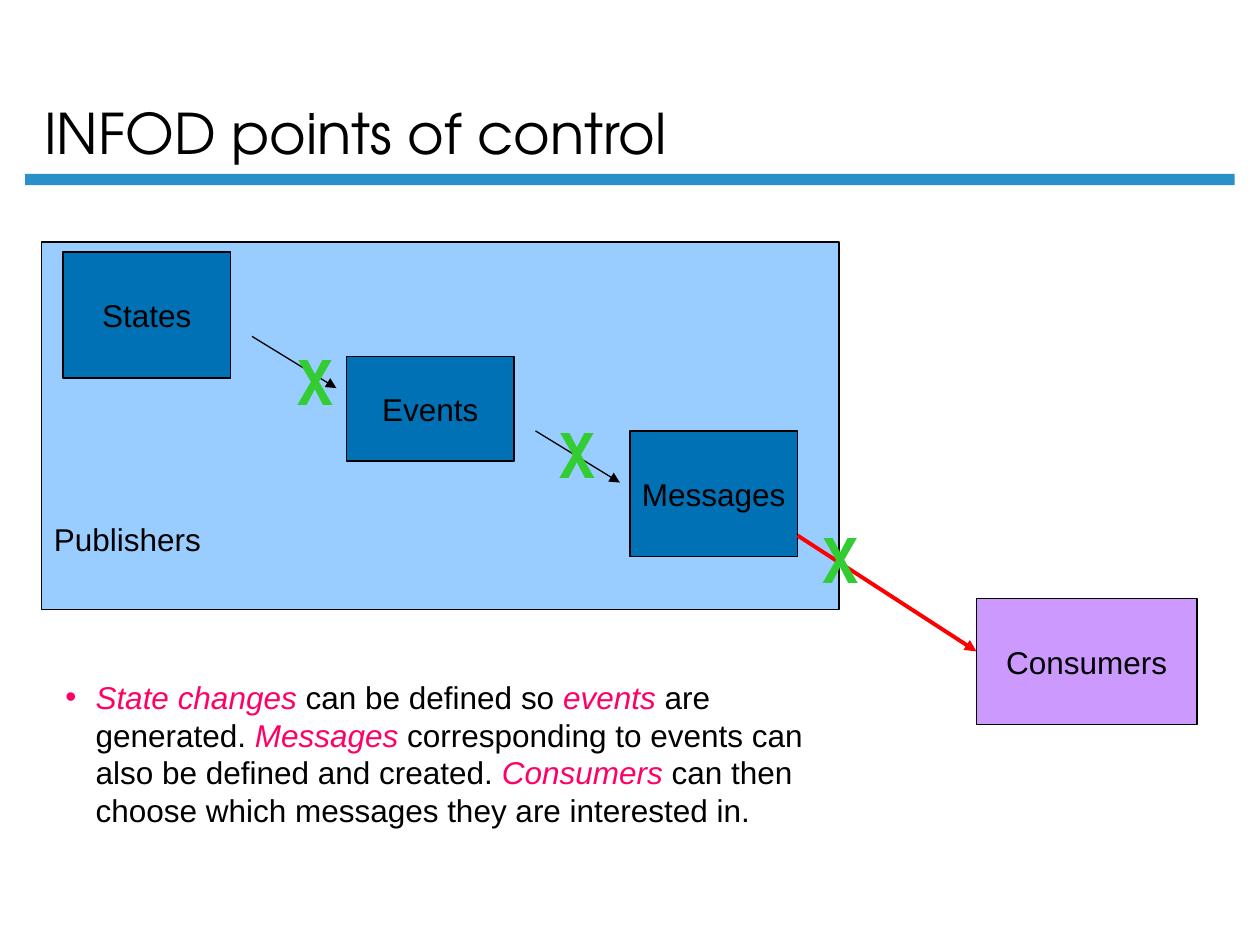
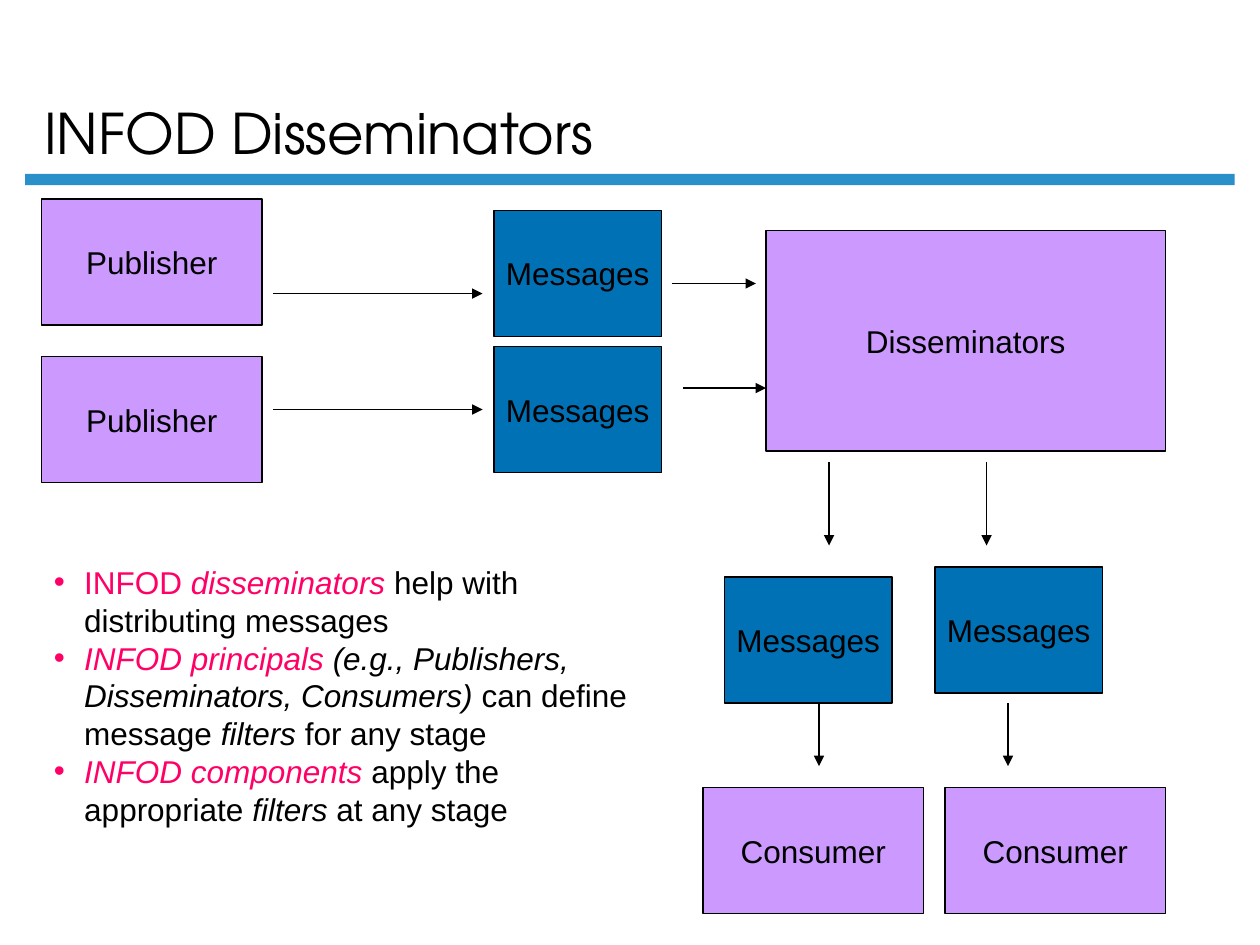
"""Build two slides on INFOD control points and disseminators."""
import pptx
import pptx.dml.color
import pptx.enum.shapes
import pptx.enum.text
import pptx.oxml
import pptx.oxml.ns
import pptx.util

Inches = pptx.util.Inches
Pt = pptx.util.Pt
ANCHOR = pptx.enum.text.MSO_ANCHOR
ALIGN = pptx.enum.text.PP_ALIGN
RECTANGLE = pptx.enum.shapes.MSO_SHAPE.RECTANGLE
STRAIGHT = pptx.enum.shapes.MSO_CONNECTOR.STRAIGHT

BLACK, BAND, PANEL = "000000", "2990CA", "99CCFF"
BLUE, PURPLE = "0071B5", "CC99FF"
PINK, GREEN, RED = "FF0066", "33CC33", "FF0000"


def rgb(code):
    """Turn a hex string into a colour."""
    return pptx.dml.color.RGBColor.from_string(code)


def add_xml(parent, tag, attributes="", children=""):
    """Append one drawing element to its parent."""
    namespace = pptx.oxml.ns.nsdecls("a")
    parent.append(pptx.oxml.parse_xml(f"<a:{tag} {namespace} {attributes}>{children}</a:{tag}>"))


slides = [
    {
        "title": "INFOD points of control",
        "boxes": [
            ("Publishers", PANEL, 0.33, 1.92, 6.33, 2.92),
            ("States", BLUE, 0.5, 2, 1.33, 1),
            ("Events", BLUE, 2.75, 2.83, 1.33, 0.83),
            ("Messages", BLUE, 5, 3.42, 1.33, 1),
            ("Consumers", PURPLE, 7.75, 4.75, 1.75, 1),
        ],
        "arrows": [
            (2, 2.67, 2.67, 3.08, BLACK, 0.75),
            (4.25, 3.42, 4.92, 3.83, BLACK, 0.75),
            (6.33, 4.25, 7.75, 5.17, RED, 2.25),
        ],
        "crosses": [(2.25, 2.67), (4.33, 3.25), (6.42, 4.08)],
        "notes_at": (0.42, 5.33, 6.17, 1.3),
        "notes": [
            [
                ("State changes", PINK, True),
                (" can be defined so ", BLACK, False),
                ("events", PINK, True),
                (" are generated. ", BLACK, False),
                ("Messages", PINK, True),
                (" corresponding to events can also be defined and created. ", BLACK, False),
                ("Consumers", PINK, True),
                (" can then choose which messages they are interested in.", BLACK, False),
            ],
        ],
    },
    {
        "title": "INFOD Disseminators",
        "boxes": [
            ("Publisher", PURPLE, 0.33, 1.58, 1.75, 1),
            ("Publisher", PURPLE, 0.33, 2.83, 1.75, 1),
            ("Messages", BLUE, 3.92, 1.67, 1.33, 1),
            ("Messages", BLUE, 3.92, 2.75, 1.33, 1),
            ("Disseminators", PURPLE, 6.08, 1.83, 3.17, 1.75),
            ("Messages", BLUE, 5.75, 4.58, 1.33, 1),
            ("Messages", BLUE, 7.42, 4.5, 1.33, 1),
            ("Consumer", PURPLE, 5.58, 6.25, 1.75, 1),
            ("Consumer", PURPLE, 7.5, 6.25, 1.75, 1),
        ],
        "arrows": [
            (2.17, 2.33, 3.83, 2.33, BLACK, 0.75),
            (2.17, 3.25, 3.83, 3.25, BLACK, 0.75),
            (5.33, 2.25, 6, 2.25, BLACK, 0.75),
            (5.42, 3.08, 6.08, 3.08, BLACK, 0.75),
            (6.58, 3.67, 6.58, 4.33, BLACK, 0.75),
            (7.83, 3.67, 7.83, 4.33, BLACK, 0.75),
            (6.5, 5.58, 6.5, 6.08, BLACK, 0.75),
            (8, 5.58, 8, 6.08, BLACK, 0.75),
        ],
        "crosses": [],
        "notes_at": (0.33, 4.42, 4.92, 2.2),
        "notes": [
            [
                ("INFOD ", PINK, False),
                ("disseminators", PINK, True),
                (" help with distributing messages", BLACK, False),
            ],
            [
                ("INFOD principals", PINK, True),
                (" (e.g., Publishers, Disseminators, Consumers)", BLACK, True),
                (" can define message ", BLACK, False),
                ("filters", BLACK, True),
                (" for any stage", BLACK, False),
            ],
            [
                ("INFOD components", PINK, True),
                (" apply the appropriate ", BLACK, False),
                ("filters ", BLACK, True),
                ("at any stage", BLACK, False),
            ],
        ],
    },
]

deck = pptx.Presentation()
deck.slide_width, deck.slide_height = Inches(10), Inches(7.5)

for content in slides:
    page = deck.slides.add_slide(deck.slide_layouts[5])

    band = page.shapes.add_shape(RECTANGLE, Inches(0.2), Inches(1.38), Inches(9.6), Inches(0.09))
    band.shadow.inherit = False
    band.fill.solid()
    band.fill.fore_color.rgb = rgb(BAND)
    band.line.fill.background()

    title = page.shapes.title
    title.left, title.top = Inches(0.25), Inches(0.12)
    title.width, title.height = Inches(8.56), Inches(1.25)
    frame = title.text_frame
    frame.text = content["title"]
    frame.auto_size = pptx.enum.text.MSO_AUTO_SIZE.NONE
    frame.vertical_anchor = ANCHOR.BOTTOM
    para = frame.paragraphs[0]
    para.alignment = ALIGN.LEFT
    para.line_spacing = 0.9
    para.font.name = "TeX Gyre Adventor"
    para.font.size = Pt(32)
    para.font.color.rgb = rgb(BLACK)

    for label, fill, *place in content["boxes"]:
        box = page.shapes.add_shape(RECTANGLE, *map(Inches, place))
        box.shadow.inherit = False
        box.fill.solid()
        box.fill.fore_color.rgb = rgb(fill)
        box.line.color.rgb = rgb(BLACK)
        box.line.width = Pt(0.75)
        frame = box.text_frame
        frame.text = label
        frame.word_wrap = False
        frame.vertical_anchor = ANCHOR.MIDDLE
        para = frame.paragraphs[0]
        para.alignment = ALIGN.CENTER
        para.font.name = "Arial"
        para.font.size = Pt(18)
        para.font.color.rgb = rgb(BLACK)
        if fill == PANEL:
            frame.word_wrap = True
            frame.vertical_anchor = ANCHOR.BOTTOM
            frame.margin_bottom = Inches(0.41)
            para.alignment = ALIGN.LEFT

    notes = page.shapes.add_textbox(*map(Inches, content["notes_at"]))
    frame = notes.text_frame
    frame.word_wrap = True
    for index, spans in enumerate(content["notes"]):
        para = frame.add_paragraph() if index else frame.paragraphs[0]
        properties = para._p.get_or_add_pPr()
        properties.set("marL", str(Inches(0.24)))
        properties.set("indent", str(Inches(-0.24)))
        add_xml(properties, "buClr", children=f'<a:srgbClr val="{PINK}"/>')
        add_xml(properties, "buFont", 'typeface="Arial"')
        add_xml(properties, "buChar", 'char="•"')
        para.font.name = "Arial"
        para.font.size = Pt(18)
        for text, color, italic in spans:
            span = para.add_run()
            span.text = text
            span.font.italic = italic
            span.font.color.rgb = rgb(color)

    for *ends, color, width in content["arrows"]:
        arrow = page.shapes.add_connector(STRAIGHT, *map(Inches, ends))
        arrow.line.color.rgb = rgb(color)
        arrow.line.width = Pt(width)
        properties = arrow._element.spPr
        add_xml(properties.find(pptx.oxml.ns.qn("a:ln")), "tailEnd", 'type="triangle"')
        add_xml(properties, "effectLst")

    for left, top in content["crosses"]:
        cross = page.shapes.add_textbox(Inches(left), Inches(top), Inches(0.5), Inches(0.7))
        frame = cross.text_frame
        frame.text = "X"
        frame.word_wrap = False
        para = frame.paragraphs[0]
        para.alignment = ALIGN.CENTER
        para.font.name = "Noto Sans Mono"
        para.font.size = Pt(36)
        para.font.bold = True
        para.font.color.rgb = rgb(GREEN)

deck.save("out.pptx")
